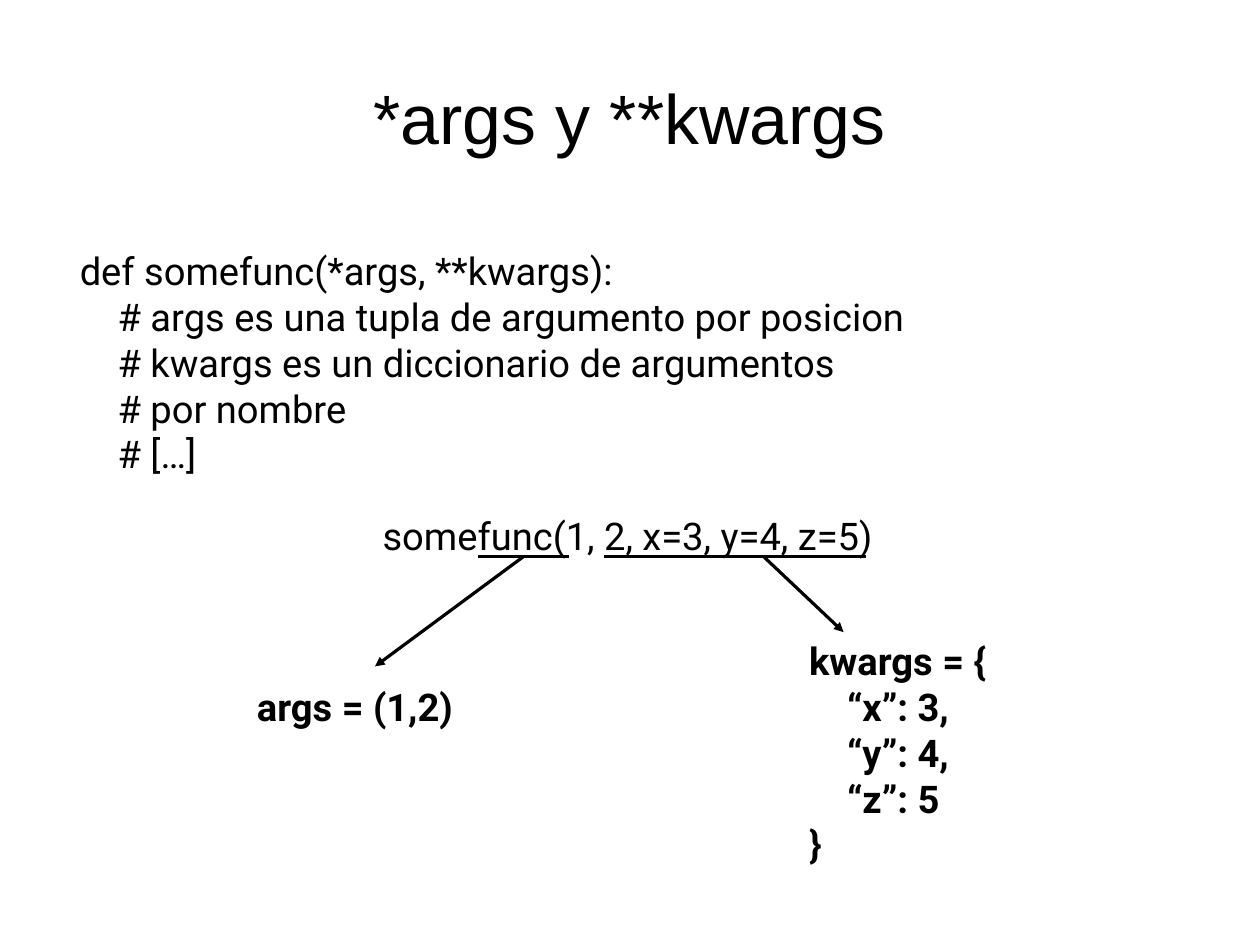
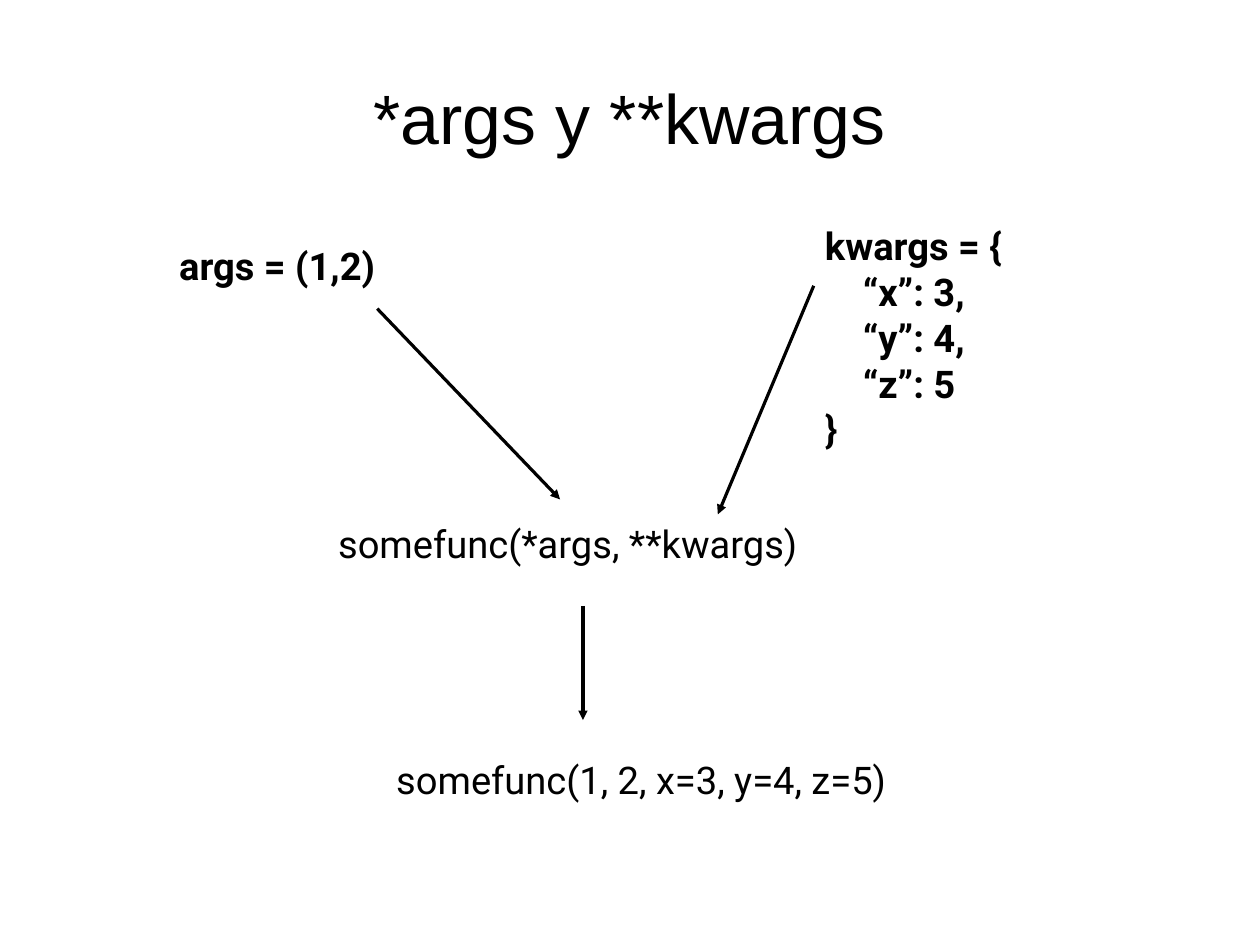
from pptx import Presentation
from pptx.util import Pt
from pptx.dml.color import RGBColor
from pptx.enum.shapes import MSO_CONNECTOR as CONN
from pptx.enum.text import MSO_ANCHOR as ANCHOR, PP_ALIGN as ALIGN
from pptx.oxml.ns import qn
from lxml.etree import SubElement

COLORS = {"ink": "000000", "paper": "FFFFFF"}
SLIDE_SIZE = (793.7, 595.28)
TITLE = "*args y **kwargs"
TITLE_BOX = (39.6, 23.8, 714.2, 99.4)

STYLES = {
    "title": {"name": "Arial", "size": Pt(44), "bold": False},
    "code": {"name": "Roboto", "size": Pt(24), "bold": False},
    "value": {"name": "Roboto", "size": Pt(24), "bold": True},
}

BLOCKS = {
    "definition": {
        "lines": [
            "def somefunc(*args, **kwargs):",
            "    # args es una tupla de argumento por posicion",
            "    # kwargs es un diccionario de argumentos",
            "    # por nombre",
            "    # […]",
        ],
        "size": (705.6, 175), "style": "code", "align": ALIGN.LEFT,
    },
    "call": {
        "lines": ["somefunc(1, 2, x=3, y=4, z=5)"],
        "size": (433.4, 35.3), "style": "code", "align": ALIGN.CENTER,
    },
    "unpacking": {
        "lines": ["somefunc(*args, **kwargs)"],
        "size": (375.1, 35.3), "style": "code", "align": ALIGN.LEFT,
    },
    "args": {
        "lines": ["args = (1,2)"],
        "size": (188, 38.2), "style": "value", "align": ALIGN.CENTER,
    },
    "kwargs": {
        "lines": ["kwargs = {", "    “x”: 3,", "    “y”: 4,", "    “z”: 5", "}"],
        "size": (188, 146.9), "style": "value", "align": ALIGN.LEFT,
    },
}

UNDERLINE_Y = 350.6
SLIDES = [
    {
        "blocks": {
            "definition": (43.2, 152.6),
            "call": (178.6, 319),
            "args": (129.6, 427),
            "kwargs": (502.6, 398.2),
        },
        "underlines": [
            (380.2, UNDERLINE_Y, 545.8, UNDERLINE_Y),
            (301, UNDERLINE_Y, 358.6, UNDERLINE_Y),
        ],
        "arrows": [
            (481, UNDERLINE_Y, 531.4, 398.2),
            (329.8, UNDERLINE_Y, 236.2, 419.8),
        ],
    },
    {
        "blocks": {
            "call": (187.2, 473),
            "args": (80.6, 149),
            "kwargs": (512.6, 136.8),
            "unpacking": (205.9, 324),
        },
        "underlines": [],
        "arrows": [
            (367.2, 381.6, 367.2, 453.6),
            (237.6, 194.4, 352.8, 314.6),
            (512.6, 180, 452.2, 324),
        ],
    },
]


def color(name):
    return RGBColor.from_string(COLORS[name])


def add_text(s, box, lines, style, align, anchor=ANCHOR.TOP, inset=(7.2, 3.6)):
    tf = s.shapes.add_textbox(*map(Pt, box)).text_frame
    dx, dy = map(Pt, inset)
    frame = {
        "word_wrap": True, "vertical_anchor": anchor,
        "margin_left": dx, "margin_right": dx,
        "margin_top": dy, "margin_bottom": dy,
    }
    for key, value in frame.items():
        setattr(tf, key, value)
    for i, line in enumerate(lines):
        p = tf.add_paragraph() if i else tf.paragraphs[0]
        p.alignment = align
        r = p.add_run()
        r.text = line
        for key, value in STYLES[style].items():
            setattr(r.font, key, value)
        r.font.color.rgb = color("ink")


def add_line(s, ends, arrow=False):
    line = s.shapes.add_connector(CONN.STRAIGHT, *map(Pt, ends))
    line.line.color.rgb = color("ink")
    line.line.width = Pt(0)
    if arrow:
        SubElement(line.line._get_or_add_ln(), qn("a:tailEnd"), type="triangle")
    SubElement(line._element.spPr, qn("a:effectLst"))


def add_slide(prs, content):
    s = prs.slides.add_slide(prs.slide_layouts[6])
    s.background.fill.solid()
    s.background.fill.fore_color.rgb = color("paper")
    add_text(s, TITLE_BOX, [TITLE], "title", ALIGN.CENTER, ANCHOR.MIDDLE, (0, 0))
    for name, corner in content["blocks"].items():
        block = BLOCKS[name]
        add_text(s, corner + block["size"], block["lines"], block["style"], block["align"])
    for ends in content["underlines"]:
        add_line(s, ends)
    for ends in content["arrows"]:
        add_line(s, ends, arrow=True)


def main():
    prs = Presentation()
    prs.slide_width, prs.slide_height = map(Pt, SLIDE_SIZE)
    for content in SLIDES:
        add_slide(prs, content)
    prs.save("out.pptx")


if __name__ == "__main__":
    main()
